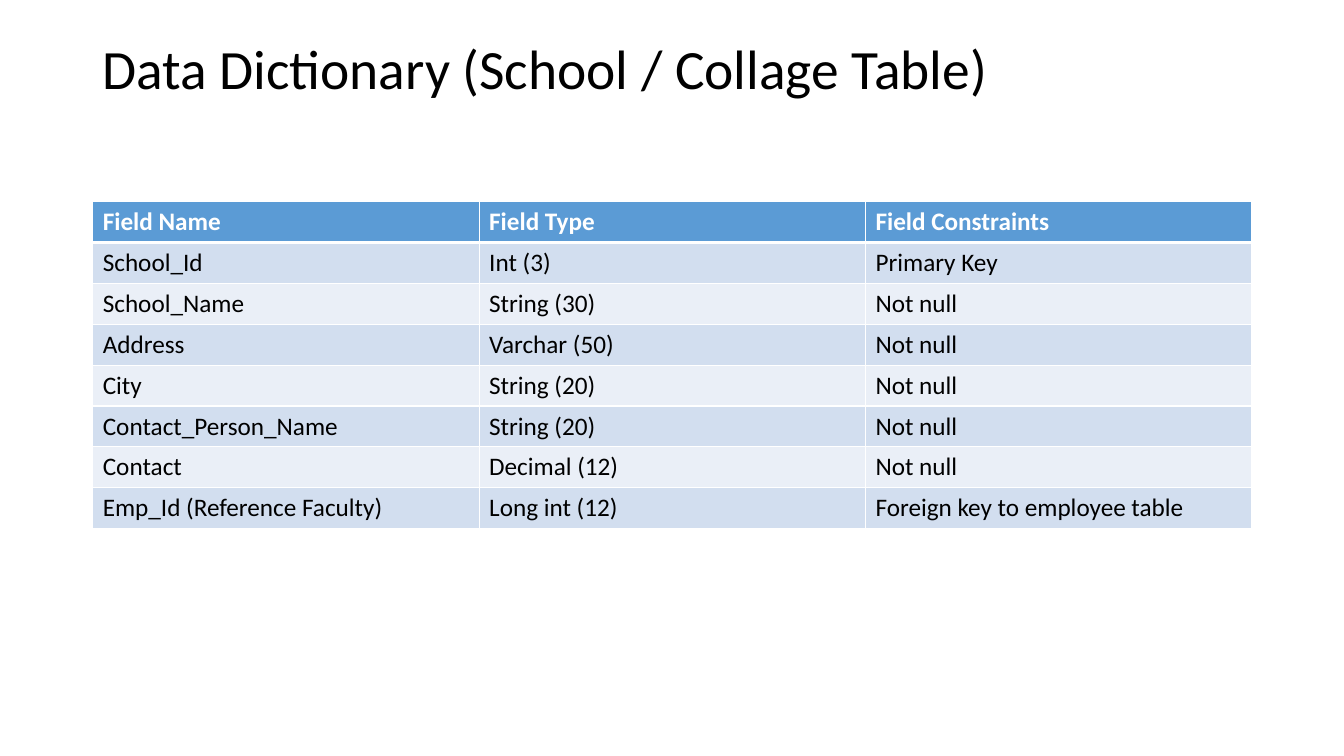
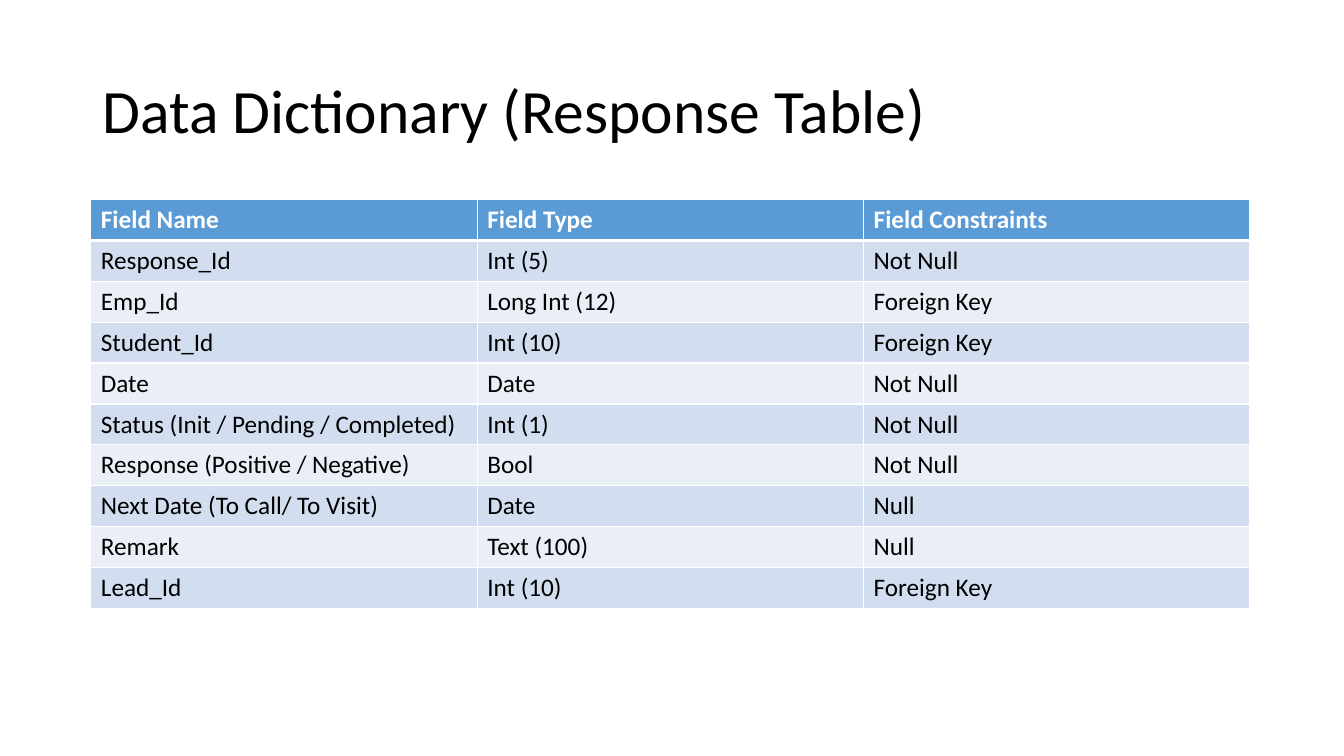
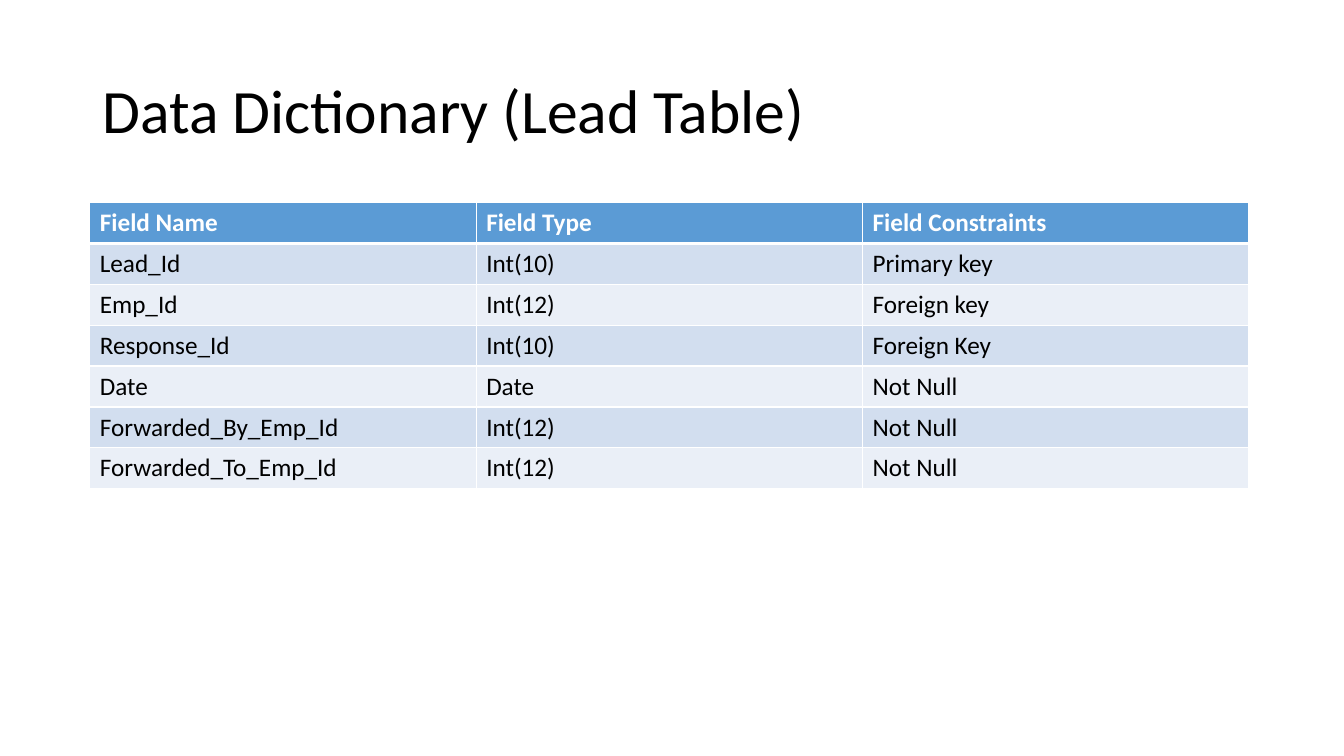
"""Build three data dictionary slides, each a title above a field table."""
from dataclasses import dataclass

from pptx import Presentation
from pptx import util as u
from pptx.dml import color
from pptx.enum import text
from pptx.oxml import parse_xml
from pptx.oxml import ns

WIDE, HIGH = u.Inches(13.33), u.Inches(7.5)
FONT = "Calibri"
BLACK, WHITE = "000000", "FFFFFF"
HEAD = "5B9BD5"
BANDS = ("D2DEEF", "EAEFF7")
EDGE, RULE = 1, 3
LEFT, TOP, SPAN = 0.0688, 0.0533, 0.8625
ROW = u.Pt(29.2)
FIELDS = ("Field Name", "Field Type", "Field Constraints")


@dataclass(frozen=True)
class Page:
    """One titled table; places are shares of the slide."""
    title: str
    size: float
    tall: float
    left: float
    top: float
    rows: tuple[tuple[str, str, str], ...]


PAGES = (
    Page("Data Dictionary (School / Collage Table)", 39.6, 0.0813, 0.069, 0.2667, (
        ("School_Id", "Int (3)", "Primary Key"),
        ("School_Name", "String (30)", "Not null"),
        ("Address", "Varchar (50)", "Not null"),
        ("City", "String (20)", "Not null"),
        ("Contact_Person_Name", "String (20)", "Not null"),
        ("Contact", "Decimal (12)", "Not null"),
        ("Emp_Id (Reference Faculty)", "Long int (12)", "Foreign key to employee table"),
    )),
    Page("Data Dictionary (Response Table)", 44, 0.1933, 0.0676, 0.264, (
        ("Response_Id", "Int (5)", "Not Null"),
        ("Emp_Id", "Long Int (12)", "Foreign Key"),
        ("Student_Id", "Int (10)", "Foreign Key"),
        ("Date", "Date", "Not Null"),
        ("Status (Init / Pending / Completed)", "Int (1)", "Not Null"),
        ("Response (Positive / Negative)", "Bool", "Not Null"),
        ("Next Date (To Call/ To Visit)", "Date", "Null"),
        ("Remark", "Text (100)", "Null"),
        ("Lead_Id", "Int (10)", "Foreign Key"),
    )),
    Page("Data Dictionary (Lead Table)", 44, 0.1933, 0.0668, 0.268, (
        ("Lead_Id", "Int(10)", "Primary key"),
        ("Emp_Id", "Int(12)", "Foreign key"),
        ("Response_Id", "Int(10)", "Foreign Key"),
        ("Date", "Date", "Not Null"),
        ("Forwarded_By_Emp_Id", "Int(12)", "Not Null"),
        ("Forwarded_To_Emp_Id", "Int(12)", "Not Null"),
    )),
)


def paint(fill, tone: str) -> None:
    fill.solid()
    fill.fore_color.rgb = color.RGBColor.from_string(tone)


def style(frame, size: float, tone: str, bold: bool = False) -> None:
    font = frame.paragraphs[0].runs[0].font
    font.name, font.size, font.bold = FONT, u.Pt(size), bold
    paint(font.fill, tone)


def border(cell, row: int) -> None:
    top = RULE if row == 1 else EDGE
    base = RULE if row == 0 else EDGE
    for side, width in (("L", EDGE), ("R", EDGE), ("T", top), ("B", base)):
        cell._tc.get_or_add_tcPr().append(parse_xml(
            f'<a:ln{side} {ns.nsdecls("a")} w="{u.Pt(width)}"><a:solidFill>'
            f'<a:srgbClr val="{WHITE}"/></a:solidFill></a:ln{side}>'))


def head(slide, page: Page) -> None:
    box = slide.shapes.add_textbox(
        int(LEFT * WIDE), int(TOP * HIGH), int(SPAN * WIDE), int(page.tall * HIGH))
    frame = box.text_frame
    frame.word_wrap = True
    frame.vertical_anchor = text.MSO_ANCHOR.MIDDLE
    frame.text = page.title
    frame.paragraphs[0].line_spacing = 0.9
    style(frame, page.size, BLACK)


def grid(slide, page: Page) -> None:
    lines = (FIELDS, *page.rows)
    table = slide.shapes.add_table(
        len(lines), len(FIELDS), int(page.left * WIDE), int(page.top * HIGH),
        int(SPAN * WIDE), ROW * len(lines)).table
    for row, line in enumerate(lines):
        table.rows[row].height = ROW
        first = row == 0
        for col, word in enumerate(line):
            cell = table.cell(row, col)
            cell.text_frame.text = word
            style(cell.text_frame, 18, WHITE if first else BLACK, first)
            border(cell, row)
            paint(cell.fill, HEAD if first else BANDS[(row - 1) % 2])


def main() -> None:
    deck = Presentation()
    deck.slide_width, deck.slide_height = WIDE, HIGH
    for page in PAGES:
        slide = deck.slides.add_slide(deck.slide_layouts[6])
        paint(slide.background.fill, WHITE)
        head(slide, page)
        grid(slide, page)
    deck.save("out.pptx")


main()
